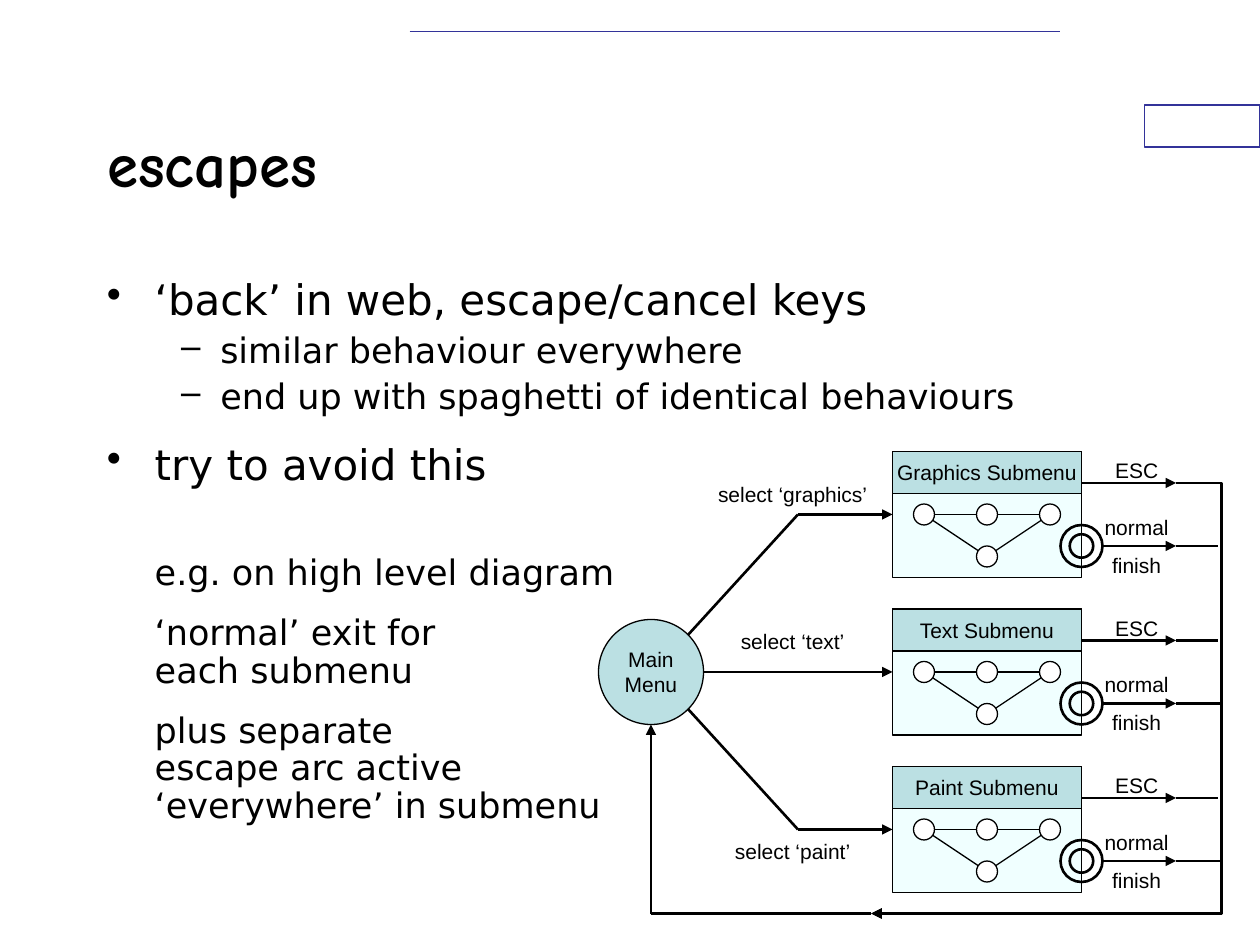
import pptx
import pptx.util
import pptx.dml.color
import pptx.enum.shapes
import pptx.enum.text
import pptx.oxml.ns
import lxml.etree

Pt = pptx.util.Pt
qn = pptx.oxml.ns.qn
KIND = pptx.enum.shapes.MSO_SHAPE
LINK = pptx.enum.shapes.MSO_CONNECTOR
ALIGN = pptx.enum.text.PP_ALIGN
ANCHOR = pptx.enum.text.MSO_ANCHOR
COLOURS = {name: pptx.dml.color.RGBColor.from_string(code) for name, code in {
    "ink": "000000", "paper": "FFFFFF", "frame": "333399",
    "header": "BBE0E3", "panel": "F0FFFF"}.items()}

deck = pptx.Presentation()
deck.slide_width, deck.slide_height = pptx.util.Inches(10), pptx.util.Inches(7.5)
slide = deck.slides.add_slide(deck.slide_layouts[5])
unit = deck.slide_width / 120  # grid of 120 columns by 90 rows


def add_box(kind, left, top, width, height, fill=None, line="ink", weight=0.75, text=None):
    """Preset shape, or a plain text box when kind is None."""
    place = [round(n * unit) for n in (left, top, width, height)]
    if kind is None:
        box = slide.shapes.add_textbox(*place)
    else:
        box = slide.shapes.add_shape(kind, *place)
        box.shadow.inherit = False
        box.line.color.rgb = COLOURS[line]
        box.line.width = Pt(weight)
        if fill:
            box.fill.solid()
            box.fill.fore_color.rgb = COLOURS[fill]
        else:
            box.fill.background()
    if text:
        box.text_frame.word_wrap = False
        box.text_frame.text = text
        label = box.text_frame.paragraphs[0]
        label.alignment = ALIGN.CENTER
        for key, value in {"size": Pt(12), "name": "Arial"}.items():
            setattr(label.font, key, value)
        for run in label.runs:
            for key, value in {"size": Pt(12), "name": "Arial"}.items():
                setattr(run.font, key, value)
            run.font.color.rgb = COLOURS["ink"]
    return box


def add_line(x1, y1, x2, y2, weight=1.5, arrow=False, colour="ink", elbow=None):
    """Connector, with an elbow position as a share of its width."""
    kind = LINK.STRAIGHT if elbow is None else LINK.ELBOW
    link = slide.shapes.add_connector(kind, *[round(n * unit) for n in (x1, y1, x2, y2)])
    link.line.color.rgb = COLOURS[colour]
    link.line.width = Pt(weight)
    properties = link.element.spPr
    if arrow:
        lxml.etree.SubElement(properties.find(qn("a:ln")), qn("a:tailEnd"), type="triangle")
    if elbow is not None:
        guides = properties.find(qn("a:prstGeom")).find(qn("a:avLst"))
        lxml.etree.SubElement(guides, qn("a:gd"), name="adj1", fmla=f"val {round(elbow * 100000)}")
    lxml.etree.SubElement(properties, qn("a:effectLst"))
    return link


# Page frame
add_box(KIND.RECTANGLE, 109, 10, 11, 4, "paper", "frame")
add_line(39, 3, 101, 3, 1, colour="frame")

# Title
title = slide.shapes.title
for key, value in {"left": 9, "top": 8, "width": 90, "height": 15}.items():
    setattr(title, key, round(value * unit))
title.text_frame.text = "escapes"
title.text_frame.vertical_anchor = ANCHOR.MIDDLE
heading = title.text_frame.paragraphs[0]
heading.alignment = ALIGN.LEFT
for key, value in {"size": Pt(36), "name": "Comic Neue", "bold": True}.items():
    setattr(heading.runs[0].font, key, value)
heading.runs[0].font.color.rgb = COLOURS["ink"]

# Points: text, bullet, size, space before, margin and indent in inches
points = [
    ("‘back’ in web, escape/cancel keys", "•", 24, 15, 0.38, -0.38),
    ("similar behaviour everywhere", "–", 20, 5, 0.9, -0.31),
    ("end up with spaghetti of identical behaviours", "–", 20, 5, 0.9, -0.31),
    ("try to avoid this", "•", 24, 15, 0.38, -0.38),
    ("e.g. on high level diagram", None, 20, 38, 0.38, 0),
    ("‘normal’ exit for\veach submenu", None, 20, 12.5, 0.38, 0),
    ("plus separate\vescape arc active\v‘everywhere’ in submenu", None, 20, 12.5, 0.38, 0),
]
body = add_box(None, 9, 26, 102, 54).text_frame
body.word_wrap = True
for number, (text, bullet, size, before, margin, indent) in enumerate(points):
    point = body.add_paragraph() if number else body.paragraphs[0]
    point.text = text
    for key, value in {"line_spacing": 0.9, "space_before": Pt(before),
                       "level": 1 if bullet == "–" else 0}.items():
        setattr(point, key, value)
    for run in point.runs:
        for key, value in {"size": Pt(size), "name": "DejaVu Sans"}.items():
            setattr(run.font, key, value)
        run.font.color.rgb = COLOURS["ink"]
    settings = point._p.get_or_add_pPr()
    settings.set("marL", str(pptx.util.Inches(margin)))
    settings.set("indent", str(pptx.util.Inches(indent)))
    if bullet:
        lxml.etree.SubElement(settings, qn("a:buChar"), char=bullet)
    else:
        lxml.etree.SubElement(settings, qn("a:buNone"))

# Main menu
add_box(KIND.OVAL, 57, 59, 10, 10, "header", text="Main\vMenu")

# Submenus: name, choice, top of choice label, start of the arrow, slanted lead-in
submenus = [
    ("Graphics", "graphics", 45.3, 76, 60.5),
    ("Text", "text", 59.3, 67, None),
    ("Paint", "paint", 79.3, 76, 67.5),
]
for row, (name, choice, label_top, arrow_start, lead_in) in enumerate(submenus):
    top = 43 + 15 * row
    nodes_y, low_y, escape_y, finish_y = top + 6, top + 10, top + 3, top + 9

    # Panel with its small network
    panel = add_box(KIND.RECTANGLE, 85, top, 18, 12, "panel")
    add_box(KIND.RECTANGLE, 85, top, 18, 4, "header", text=f"{name} Submenu")
    nodes = [(88, nodes_y), (94, nodes_y), (100, nodes_y), (94, low_y)]
    for start, end in [(0, 3), (2, 3), (2, 0)]:
        add_line(*nodes[start], *nodes[end], 0.75)
    for x, y in nodes:
        add_box(KIND.OVAL, x - 1, y - 1, 2, 2, "paper")

    # Way in
    add_line(arrow_start, nodes_y, 85, nodes_y, arrow=True).end_connect(panel, 1)
    if lead_in:
        add_line(65.5, lead_in, 76, nodes_y)
    add_box(None, 67, label_top, 17, 3.6, text=f"select ‘{choice}’")

    # Ways out
    add_line(103, escape_y, 112, escape_y, arrow=True)
    add_line(105, finish_y, 112, finish_y, arrow=True)
    ring = add_box(KIND.DONUT, 101, finish_y - 2, 4, 4, weight=1.5)
    ring.adjustments[0] = 0.22
    for text, offset in [("ESC", 0), ("normal", 5.4), ("finish", 9)]:
        add_box(None, 104, top + offset, 8.5, 3.6, text=text)

# Return to the main menu
for y in (46, 67, 82):
    add_line(112, y, 83, 87, arrow=True, elbow=-0.15)
for y in (52, 61, 76):
    add_line(112, y, 116, y)
add_line(83, 87, 62, 87)
add_line(62, 87, 62, 69, arrow=True)

deck.save("out.pptx")
